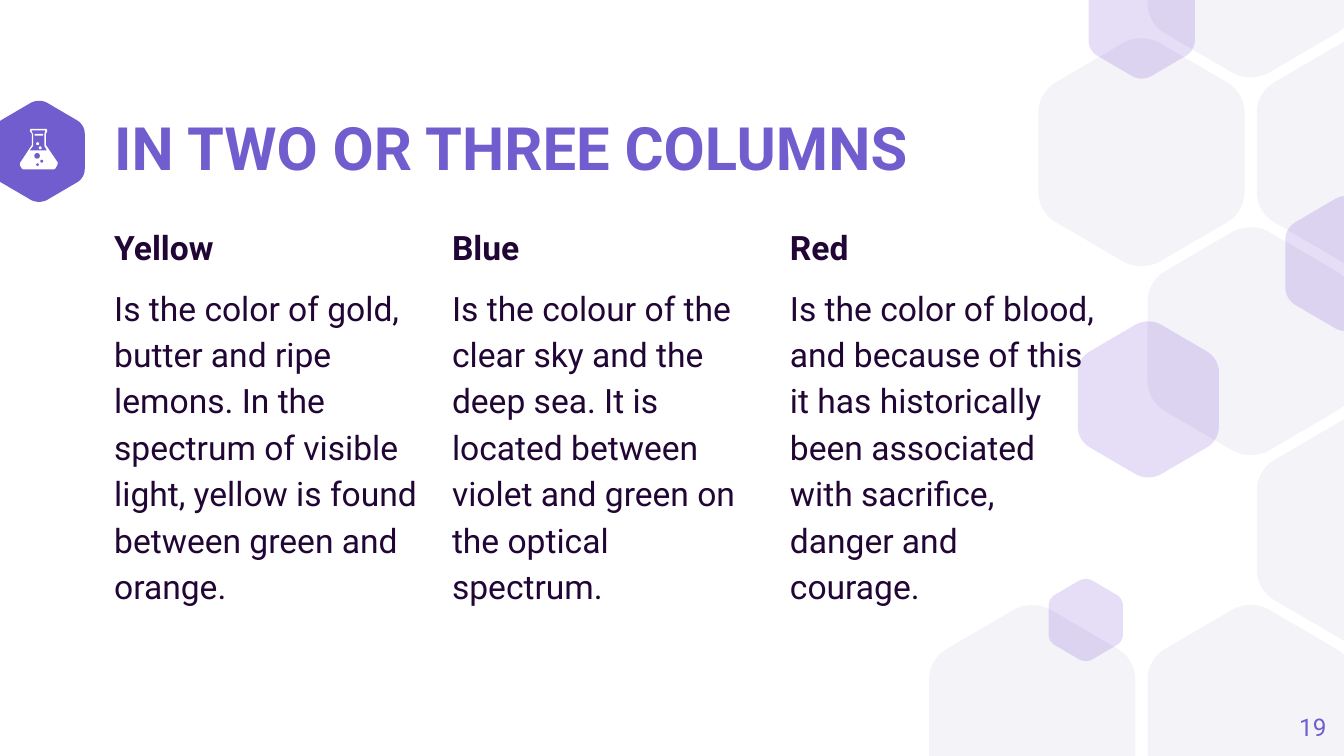
from lxml import etree
from pptx import Presentation
from pptx.dml.color import RGBColor
from pptx.enum.shapes import MSO_SHAPE
from pptx.enum.text import MSO_ANCHOR, PP_ALIGN
from pptx.oxml.ns import qn
from pptx.util import Pt

WIDTH, HEIGHT = 720, 405
FONT = "Roboto"
PURPLE, DARK, PALE, VIOLET, WHITE = "725DCF", "210635", "F4F3F8", "5322C9", "FFFFFF"

TITLE = "IN TWO OR THREE COLUMNS"
COLUMNS = [
    ("Yellow", "Is the color of gold, butter and ripe lemons. In the spectrum of "
               "visible light, yellow is found between green and orange."),
    ("Blue", "Is the colour of the clear sky and the deep sea. It is located "
             "between violet and green on the optical spectrum."),
    ("Red", "Is the color of blood, and because of this it has historically "
            "been associated with sacrifice, danger and courage."),
]
PAGE = "19"

HEX_RATIO = 1.105
GRID_CELLS = [(0, 4), (2, 4), (3, 1), (2, 0), (2, 2), (1, 1), (3, 3)]
GRID_LEFT, GRID_TOP, GRID_DX, GRID_DY, GRID_HEX = 497.8, -80.6, 58.5, 101.2, 110.4
ACCENT_HEXES = [(688.6, 105, 65.6), (561.8, 310.2, 39.8),
                (583.2, -20.8, 56.9), (577.4, 172.2, 75.6)]
ICON_HEX = (-3.6, 54, 49)

FLASK = [(16.4, 69.1), (25, 69.1), (25.4, 70.2), (24.7, 71.7), (24.7, 77.8),
         (31, 87.1), (30.8, 88.4), (29.7, 90.3), (29, 90.7), (12.4, 90.7),
         (11.7, 90.3), (10.7, 88.4), (10.9, 87.1), (17.1, 77.8), (17.1, 71.7),
         (16, 70.2)]
FLASK_INSIDE = [(16.8, 69.9), (24.3, 69.9), (23.8, 72), (23.8, 78.2),
                (25.2, 80.6), (15.9, 80.6), (17.8, 78.2), (17.8, 72)]
BUBBLES = [(19.9, 83.5, 1.5, PURPLE), (22.4, 86.4, 0.8, PURPLE),
           (20.1, 88.2, 0.7, PURPLE), (21.6, 79.2, 0.8, WHITE),
           (20.2, 77, 0.8, WHITE)]
FLASK_MARK = (18.6, 71.8, 4.5, 0.9)


def rgb(color):
    return RGBColor.from_string(color)


def paint(sp, color, alpha=None):
    sp.shadow.inherit = False
    sp.fill.solid()
    sp.fill.fore_color.rgb = rgb(color)
    sp.line.fill.background()
    if alpha:
        clr = sp._element.spPr.find(qn("a:solidFill"))[0]
        etree.SubElement(clr, qn("a:alpha")).set("val", str(alpha * 1000))


def outline(s, contours, color, alpha=None):
    contours = [[(Pt(x), Pt(y)) for x, y in points] for points in contours]
    fb = s.shapes.build_freeform(*contours[0][0])
    for i, points in enumerate(contours):
        if i:
            fb.move_to(*points[0])
        fb.add_line_segments(points[1:], close=True)
    paint(fb.convert_to_shape(), color, alpha)


def curve(a, b, c, d, steps=8):
    for t in (i / steps for i in range(steps + 1)):
        u = 1 - t
        yield tuple(u**3 * p + 3 * u * u * t * q + 3 * u * t * t * m + t**3 * n
                    for p, q, m, n in zip(a, b, c, d))


def hexagon(s, left, top, width, color, alpha=None):
    height = width * HEX_RATIO
    upper = [*curve((-0.5, -0.175), (-0.5, -0.228), (-0.469, -0.278), (-0.418, -0.306)),
             *curve((-0.083, -0.483), (-0.031, -0.506), (0.031, -0.506), (0.083, -0.483)),
             *curve((0.418, -0.306), (0.469, -0.278), (0.5, -0.228), (0.5, -0.175))]
    unit = upper + [(-x, -y) for x, y in upper]
    points = [(left + width * (x + 0.5),
               min(max(top + height * (y + 0.5), 0), HEIGHT)) for x, y in unit]
    outline(s, [points], color, alpha)


def preset(s, kind, box, color):
    paint(s.shapes.add_shape(kind, *map(Pt, box)), color)


def place(sp, box, anchor):
    sp.left, sp.top, sp.width, sp.height = map(Pt, box)
    tf = sp.text_frame
    tf.word_wrap = True
    tf.vertical_anchor = anchor
    tf.margin_left = tf.margin_top = tf.margin_right = tf.margin_bottom = 0
    return tf


def style(p, size, color, bold=False, spacing=1.0, align=PP_ALIGN.LEFT):
    p.alignment, p.line_spacing = align, spacing
    p.space_before = p.space_after = Pt(0)
    for r in p.runs:
        r.font.name, r.font.size, r.font.bold = FONT, Pt(size), bold
        r.font.color.rgb = rgb(color)


def text_box(s, text, box, anchor):
    tf = place(s.shapes.add_textbox(0, 0, 0, 0), box, anchor)
    tf.text = text
    return tf.paragraphs


def main():
    prs = Presentation()
    prs.slide_width, prs.slide_height = Pt(WIDTH), Pt(HEIGHT)
    s = prs.slides.add_slide(prs.slide_layouts[5])

    hexagon(s, *ICON_HEX, PURPLE)
    for col, row in GRID_CELLS:
        hexagon(s, GRID_LEFT + col * GRID_DX, GRID_TOP + row * GRID_DY, GRID_HEX, PALE)
    for accent in ACCENT_HEXES:
        hexagon(s, *accent, VIOLET, 15)

    tf = place(s.shapes.title, (61.2, 65.5, 525.6, 31), MSO_ANCHOR.MIDDLE)
    tf.text = TITLE
    style(tf.paragraphs[0], 32, PURPLE, True, 0.9)

    for i, (heading, body) in enumerate(COLUMNS):
        box = (61.2 + i * 181, 118.1, 163.4, 257)
        head, para = text_box(s, f"{heading}\n{body}", box, MSO_ANCHOR.TOP)
        style(head, 18, DARK, True, 1.15)
        style(para, 18, DARK, False, 1.15)
        para.space_before = Pt(8)

    number, = text_box(s, PAGE, (667.4, 373.9, 43.2, 31), MSO_ANCHOR.MIDDLE)
    style(number, 13, PURPLE, align=PP_ALIGN.RIGHT)

    outline(s, [FLASK, FLASK_INSIDE], WHITE)
    for x, y, radius, color in BUBBLES:
        preset(s, MSO_SHAPE.OVAL, (x - radius, y - radius, 2 * radius, 2 * radius), color)
    preset(s, MSO_SHAPE.ROUNDED_RECTANGLE, FLASK_MARK, WHITE)

    prs.save("out.pptx")


if __name__ == "__main__":
    main()
